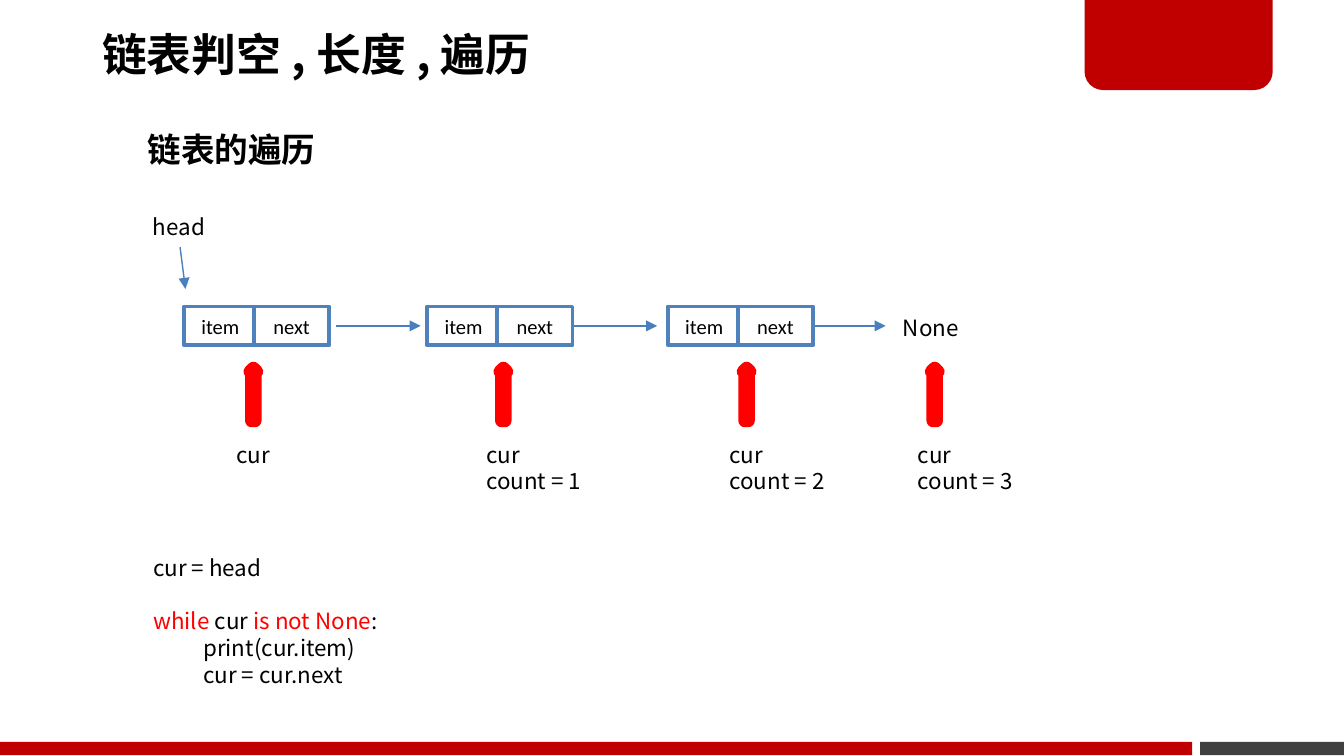
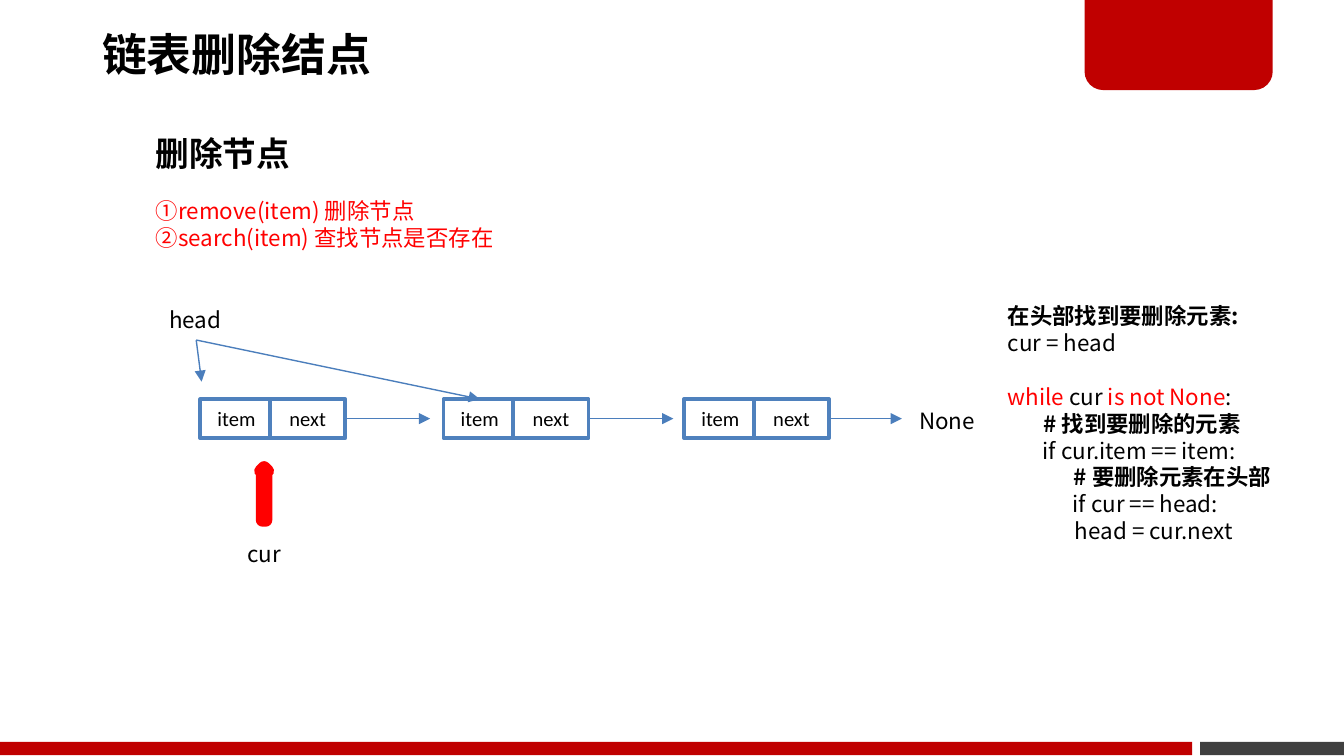
from pptx import Presentation
from pptx import util as u
from pptx.dml.color import RGBColor
from pptx.enum import shapes, text
from pptx.oxml.ns import qn
from lxml import etree

HEX = {"red": "C00000", "gray": "404040", "black": "000000", "white": "FFFFFF",
       "mark": "FF0000", "edge": "4F81BD", "link": "4B7EBC"}
CJK, LATIN = "Noto Sans CJK SC", "Calibri"
ITEM, NEXT, HALF, HIGH = 0.54, 0.56, 0.52, 0.29
STEPS = (0, 1.81, 3.6)
RIGHT = HALF + NEXT
WHILE = [("while ", "r"), ("cur ", ""), ("is not None", "r"), (":", "")]


def tint(name):
    """Return a named colour."""
    return RGBColor.from_string(HEX[name])


def box(*dims):
    """Turn numbers into inch lengths."""
    return [u.Inches(dim) for dim in dims]


def place(shape, *dims):
    """Move and size a shape."""
    shape.left, shape.top, shape.width, shape.height = box(*dims)


def style(run, size, color="black", bold=False, face=CJK):
    """Format one run."""
    font = run.font
    font.size, font.bold, font.name = u.Pt(size), bold, face
    font.color.rgb = tint(color)
    east = etree.SubElement(run._r.get_or_add_rPr(), qn("a:ea"))
    east.set("typeface", face)


def write(frame, lines, size=12, gap=None):
    """Fill a frame with lines of (text, style) runs, leaving a space before line gap."""
    for num, line in enumerate(lines):
        para = frame.paragraphs[0] if num == 0 else frame.add_paragraph()
        props = para._p.get_or_add_pPr()
        props.set("marL", "0")
        props.set("indent", "0")
        etree.SubElement(props, qn("a:buNone"))
        if "\t" in line:
            stop = etree.SubElement(etree.SubElement(props, qn("a:tabLst")), qn("a:tab"))
            stop.set("pos", str(u.Inches(1)))
            stop.set("algn", "l")
        para.space_before = u.Pt(14.4 if num == gap else 0)
        for words, kind in [(line, "")] if isinstance(line, str) else line:
            run = para.add_run()
            run.text = words
            style(run, size, "mark" if "r" in kind else "black", "b" in kind)


def label(slide, dims, lines, size=12, gap=None):
    """Add a text box that does not wrap."""
    frame = slide.shapes.add_textbox(*box(*dims)).text_frame
    frame.word_wrap = False
    write(frame, lines, size, gap)


def body(slide, dims, lines, gap=None):
    """Fill the body placeholder."""
    shape = slide.placeholders[1]
    place(shape, *dims)
    frame = shape.text_frame
    frame.word_wrap = False
    frame.auto_size = text.MSO_AUTO_SIZE.NONE
    write(frame, lines, gap=gap)


def head(slide, title, sub, dims):
    """Set the title and the subheading."""
    shape = slide.shapes.title
    place(shape, 0.69, -0.02, 5.89, 0.89)
    frame = shape.text_frame
    frame.text = title
    frame.auto_size = text.MSO_AUTO_SIZE.NONE
    frame.vertical_anchor = text.MSO_ANCHOR.MIDDLE
    frame.margin_left = frame.margin_right = u.Inches(0.07)
    frame.margin_top = frame.margin_bottom = u.Inches(0.04)
    para = frame.paragraphs[0]
    para.alignment, para.line_spacing = text.PP_ALIGN.LEFT, 0.9
    style(para.runs[0], 24, bold=True)
    label(slide, dims, [[(sub, "b")]], 18)


def block(slide, kind, dims, fill=None, line=None, width=0):
    """Add a preset shape."""
    shape = slide.shapes.add_shape(kind, *box(*dims))
    shape.shadow.inherit = False
    if fill:
        shape.fill.solid()
        shape.fill.fore_color.rgb = tint(fill)
    else:
        shape.fill.background()
    if line:
        shape.line.color.rgb = tint(line)
        shape.line.width = u.Pt(width)
    else:
        shape.line.fill.background()
    return shape


def bands(deck, slide):
    """Put the corner tab and the footer bands on the master."""
    kind = shapes.MSO_SHAPE
    tab = block(slide, kind.ROUND_2_SAME_RECTANGLE, (8.07, -0.02, 1.4, 0.69), "red")
    tab.adjustments[0], tab.adjustments[1] = 0, 0.2
    dark = block(slide, kind.RECTANGLE, (8.93, 5.52, 1.07, 0.1), "gray")
    base = block(slide, kind.RECTANGLE, (0, 5.52, 8.87, 0.1), "red")
    for part in (dark, tab, base):
        deck.slide_master.shapes.element.append(part.element)


def cell(slide, x, y, wide, name):
    """Draw one half of a node."""
    shape = block(slide, shapes.MSO_SHAPE.RECTANGLE, (x, y, wide, HIGH), "white", "edge", 2)
    frame = shape.text_frame
    frame.text = name
    frame.word_wrap = False
    frame.vertical_anchor = text.MSO_ANCHOR.MIDDLE
    para = frame.paragraphs[0]
    para.alignment = text.PP_ALIGN.CENTER
    style(para.runs[0], 11, face=LATIN)
    return shape


def link(slide, *ends):
    """Draw an arrow between two points."""
    line = slide.shapes.add_connector(shapes.MSO_CONNECTOR.STRAIGHT, *box(*ends))
    line.line.color.rgb = tint("link")
    line.line.width = u.Pt(0.75)
    etree.SubElement(line.line._get_or_add_ln(), qn("a:tailEnd")).set("type", "triangle")
    etree.SubElement(line._element.spPr, qn("a:effectLst"))
    return line


def chain(slide, x, y, first):
    """Draw head, three linked nodes and None; return the item cells."""
    label(slide, (x - 0.33, y - 0.74, 0.6, 0.3), ["head"])
    link(slide, x - 0.03, y - 0.44, x + 0.01, y - 0.13)
    items = []
    mid = y + HIGH / 2
    for step, start in zip(STEPS, (first, STEPS[1] + RIGHT, 4.59)):
        line = link(slide, x + start, mid, x + start + 0.63, mid)
        items.append(cell(slide, x + step, y, ITEM, "item"))
        after = cell(slide, x + step + HALF, y, NEXT, "next")
        if start == step + RIGHT:
            line.begin_connect(after, 3)
    label(slide, (x + 5.25, y + 0.01, 0.64, 0.3), ["None"])
    return items


def mark(slide, x, y, *lines):
    """Draw a red pointer with its label."""
    block(slide, shapes.MSO_SHAPE.UP_ARROW, (x, y, 0.05, 0.39), line="mark", width=7)
    wide = 0.45 if len(lines) == 1 else 0.98
    label(slide, (x - 0.2, y + 0.49, wide, 0.1 + 0.2 * len(lines)), lines)


def walk(slide):
    """Build the traversal slide."""
    head(slide, "链表判空 , 长度 , 遍历", "链表的遍历", (1, 0.91, 1.46, 0.4))
    chain(slide, 1.37, 2.28, 1.13)
    mark(slide, 1.86, 2.74, "cur")
    for count, x in enumerate((3.72, 5.53, 6.93), 1):
        mark(slide, x, 2.74, "cur", f"count = {count}")
    body(slide, (1.04, 4.07, 1.95, 1.31), [
        "cur = head",
        WHILE,
        "          print(cur.item)",
        "          cur = cur.next"], 1)


def drop(slide):
    """Build the deletion slide."""
    head(slide, "链表删除结点", "删除节点", (1.06, 0.94, 1.21, 0.4))
    body(slide, (1.06, 1.42, 2.8, 0.5), [
        [("①remove(item) 删除节点", "r")],
        [("②search(item) 查找节点是否存在", "r")]])
    x, y = 1.49, 2.97
    items = chain(slide, x, y, RIGHT)
    skip = link(slide, x - 0.03, y - 0.44, x + STEPS[1] + ITEM / 2, y)
    skip.end_connect(items[1], 0)
    mark(slide, 1.94, 3.48, "cur")
    label(slide, (7.4, 2.2, 2.46, 2.32), [
        [("在头部找到要删除元素:", "b")],
        "cur = head",
        WHILE,
        [("       # 找到要删除的元素", "b")],
        "       if cur.item == item:",
        [("             # 要删除元素在头部", "b")],
        "             if cur == head:",
        "\thead = cur.next"], gap=2)


def main():
    """Build and save the deck."""
    deck = Presentation()
    deck.slide_width, deck.slide_height = box(10, 10 * 9 / 16)
    first, second = [deck.slides.add_slide(deck.slide_layouts[1]) for _ in range(2)]
    bands(deck, first)
    walk(first)
    drop(second)
    deck.save("out.pptx")


if __name__ == "__main__":
    main()
